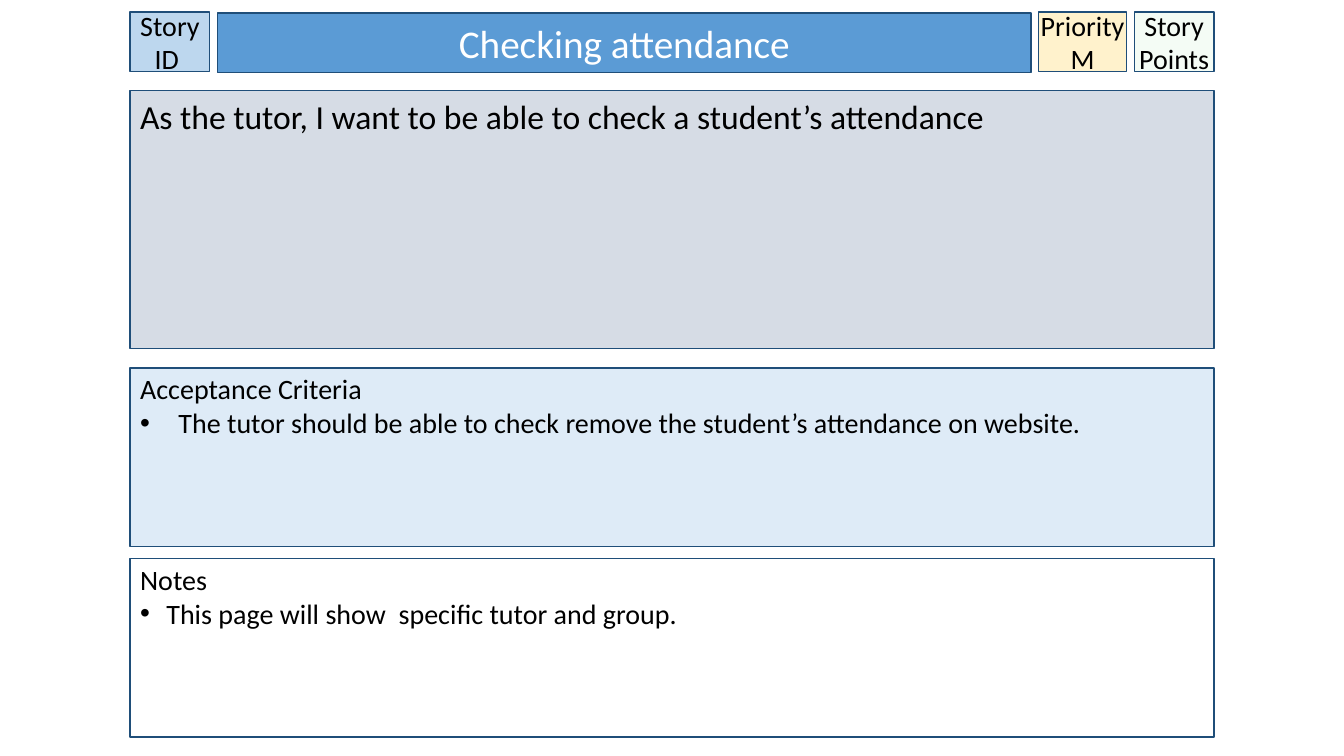
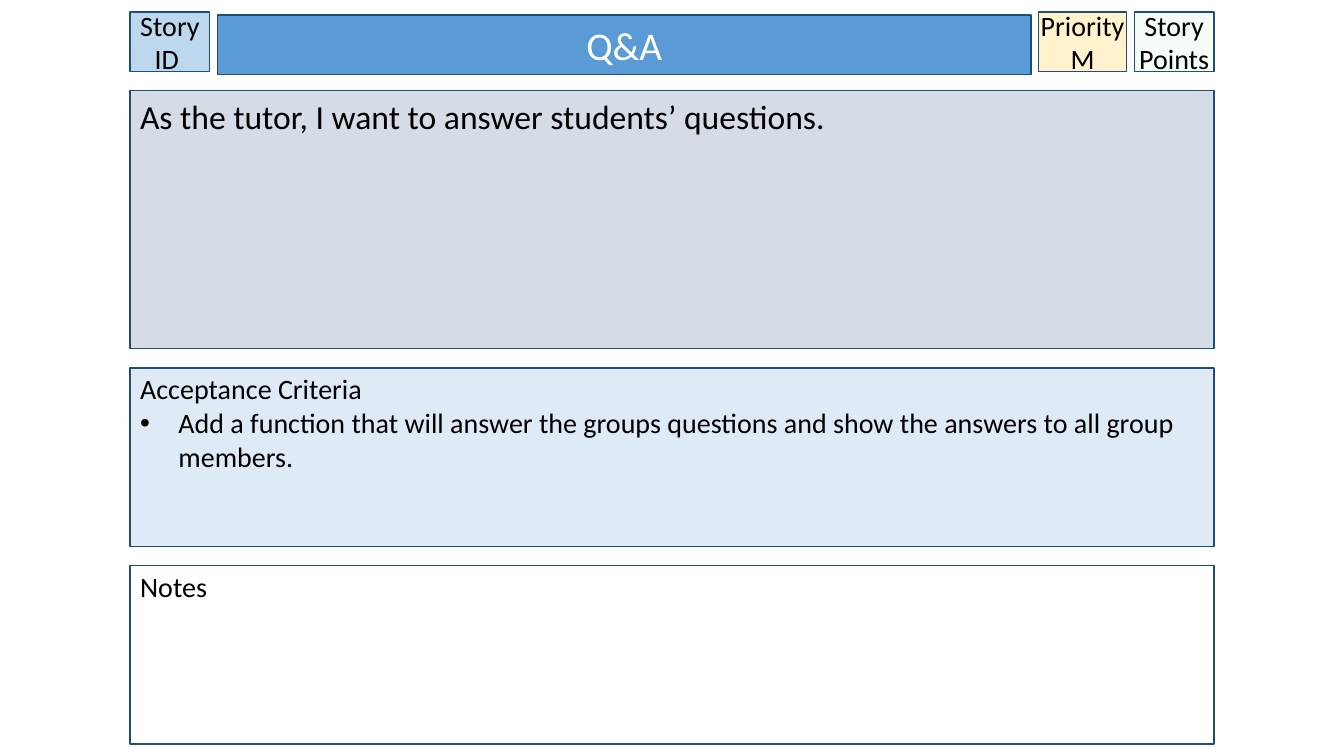
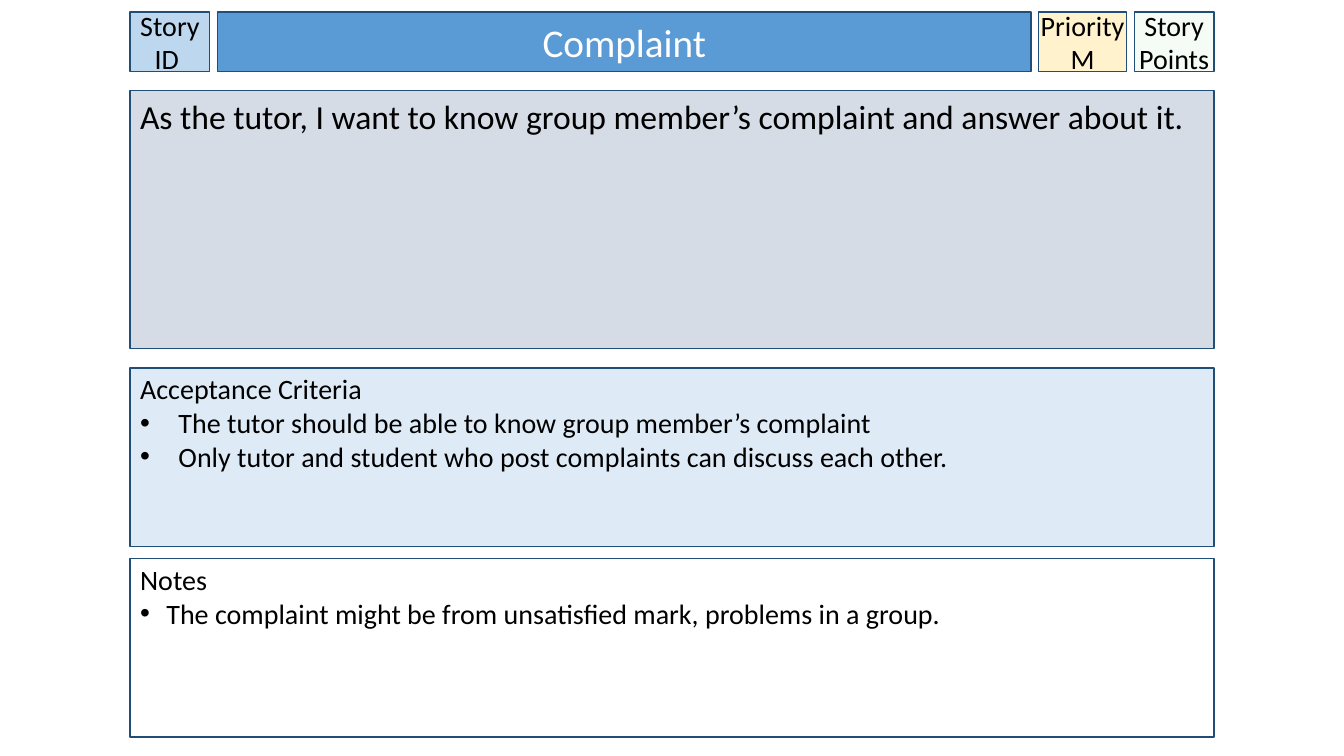
from itertools import accumulate

from lxml import etree
from pptx import Presentation
from pptx.dml.color import RGBColor
from pptx.enum.shapes import MSO_SHAPE
from pptx.enum.text import MSO_ANCHOR, MSO_AUTO_SIZE, PP_ALIGN
from pptx.oxml.ns import qn
from pptx.util import Inches, Pt

RECT = MSO_SHAPE.RECTANGLE
TOP, MIDDLE = MSO_ANCHOR.TOP, MSO_ANCHOR.MIDDLE
LEFT, CENTER = PP_ALIGN.LEFT, PP_ALIGN.CENTER
TWO_CONTENT = 3

FONT = "Calibri"
COLORS = {
    "line": "1F4E79", "ink": "000000", "paper": "FFFFFF",
    "id": "BDD7EE", "title": "5B9BD5", "priority": "FFF2CC",
    "points": "CCF0CD", "story": "D6DCE5", "criteria": "DEEBF7",
}

# The card: its left edge and width, then its rows as (top, height)
CARD_LEFT, CARD_WIDTH = 1.29, 10.75
ROWS = {"header": (0.12, 0.59), "story": (0.9, 2.56),
        "criteria": (3.65, 1.77), "notes": (5.54, 1.77)}
HEADER_WIDTHS = {"id": 0.79, "title": 8.07, "priority": 0.87, "points": 0.79}

BADGE_INSETS = (0, 0.05, 0, 0.05)
LIST_INSETS = (0.1, 0.04, 0.1, 0.05)
BOX_INSETS = (0.1, 0.05, 0.1, 0.05)

CARDS = [
    {"title": "Checking attendance",
     "story": "As the tutor, I want to be able to check a student’s attendance",
     "criteria": ["The tutor should be able to check remove the student’s "
                  "attendance on website."],
     "notes": ["This page will show  specific tutor and group."],
     "title_drop": 0.01},
    {"title": "Q&A",
     "story": "As the tutor, I want to answer students’ questions.",
     "criteria": ["Add a function that will answer the groups questions and "
                  "show the answers to all group members."],
     "notes": [],
     "title_drop": 0.03, "notes_drop": 0.07},
    {"title": "Complaint",
     "story": "As the tutor, I want to know group member’s complaint and "
              "answer about it.",
     "criteria": ["The tutor should be able to know group member’s complaint",
                  "Only tutor and student who post complaints can discuss "
                  "each other."],
     "notes": ["The complaint might be from unsatisfied mark, problems in a "
               "group."]},
]


def rgb(name):
    return RGBColor.from_string(COLORS[name])


def row_box(name, drop=0):
    top, height = ROWS[name]
    return CARD_LEFT, top + drop, CARD_WIDTH, height


def header_boxes():
    """Split the header row into its columns with equal gaps."""
    left, top, width, height = row_box("header")
    widths = list(HEADER_WIDTHS.values())
    gap = (width - sum(widths)) / (len(widths) - 1)
    lefts = accumulate([left] + [w + gap for w in widths[:-1]])
    return {name: (x, top, w, height)
            for name, x, w in zip(HEADER_WIDTHS, lefts, widths)}


def style_box(sp, box, fill, insets=BOX_INSETS, anchor=TOP, wrap=True):
    """Place a shape or placeholder and give it the card look."""
    for name, value in zip(("left", "top", "width", "height"), box):
        setattr(sp, name, Inches(value))
    sp.fill.solid()
    sp.fill.fore_color.rgb = rgb(fill)
    sp.line.color.rgb = rgb("line")
    sp.line.width = Pt(1)
    tf = sp.text_frame
    frame = {"auto_size": MSO_AUTO_SIZE.NONE, "word_wrap": wrap,
             "vertical_anchor": anchor}
    sides = ("margin_left", "margin_top", "margin_right", "margin_bottom")
    frame.update(zip(sides, map(Inches, insets)))
    for name, value in frame.items():
        setattr(tf, name, value)


def write(sp, lines, size, align=LEFT, color="ink"):
    tf = sp.text_frame
    for i, line in enumerate(lines):
        p = tf.paragraphs[0] if i == 0 else tf.add_paragraph()
        p.alignment = align
        p.space_before = Pt(0)
        r = p.add_run()
        r.text = line
        for name, value in {"name": FONT, "size": Pt(size)}.items():
            setattr(r.font, name, value)
        r.font.color.rgb = rgb(color)


def set_bullet(p, indent):
    """Hang a bullet by the indent in inches, or remove it when zero."""
    pPr = p._p.get_or_add_pPr()
    pPr.set("marL", str(Inches(indent)))
    pPr.set("indent", str(-Inches(indent)))
    if indent:
        etree.SubElement(pPr, qn("a:buFont"), typeface="Arial")
        etree.SubElement(pPr, qn("a:buChar"), char="•")
    else:
        etree.SubElement(pPr, qn("a:buNone"))


def add_box(slide, box, fill, **look):
    sp = slide.shapes.add_shape(RECT, *map(Inches, box))
    sp.shadow.inherit = False
    style_box(sp, box, fill, **look)
    return sp


def add_badge(slide, box, fill, lines, wrap=True):
    sp = add_box(slide, box, fill, insets=BADGE_INSETS, anchor=MIDDLE,
                 wrap=wrap)
    write(sp, lines, 20, CENTER)
    return sp


def add_header(slide, title, drop):
    boxes = header_boxes()
    add_badge(slide, boxes["id"], "id", ["Story ID "])
    x, y, w, h = boxes["title"]
    style_box(slide.shapes.title, (x, y + drop, w, h), "title", anchor=MIDDLE)
    write(slide.shapes.title, [title], 28, CENTER, "paper")
    add_badge(slide, boxes["priority"], "priority", ["Priority", "M"],
              wrap=False)
    points = add_badge(slide, boxes["points"], "points", ["Story Points"])
    tint = points._element.spPr.find(qn("a:solidFill"))[0]
    etree.SubElement(tint, qn("a:alpha"), val="20000")


def fill_list(sp, box, fill, heading, items, indent):
    style_box(sp, box, fill, insets=LIST_INSETS)
    write(sp, [heading, *items], 20)
    for i, p in enumerate(sp.text_frame.paragraphs):
        set_bullet(p, indent if i else 0)


def add_card(prs, card):
    slide = prs.slides.add_slide(prs.slide_layouts[TWO_CONTENT])
    _, criteria, notes = slide.placeholders
    add_header(slide, card["title"], card.get("title_drop", 0))
    story = add_box(slide, row_box("story"), "story")
    write(story, [card["story"]], 24)
    fill_list(criteria, row_box("criteria"), "criteria",
              "Acceptance Criteria", card["criteria"], 0.38)
    fill_list(notes, row_box("notes", card.get("notes_drop", 0)), "paper",
              "Notes", card["notes"], 0.26)


def main():
    prs = Presentation()
    prs.slide_width, prs.slide_height = Inches(13.33), Inches(7.5)
    for card in CARDS:
        add_card(prs, card)
    prs.save("out.pptx")


if __name__ == "__main__":
    main()
